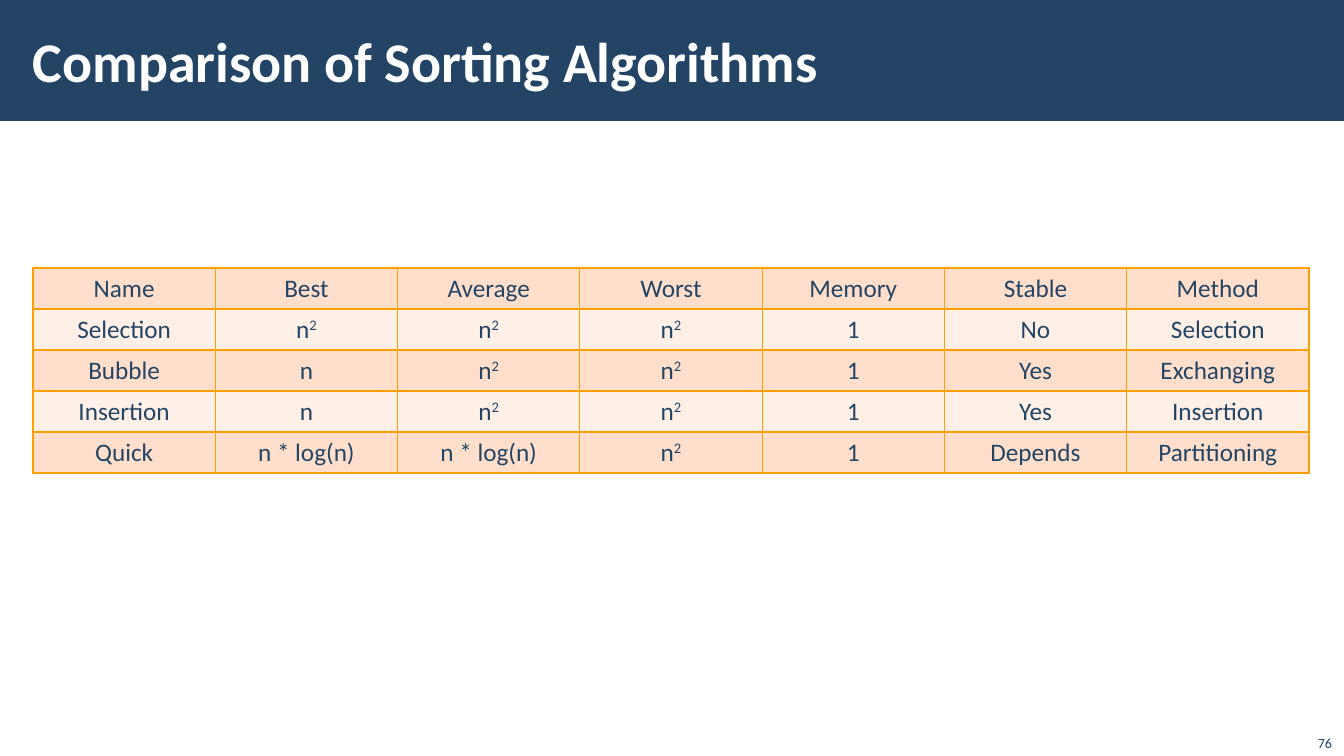
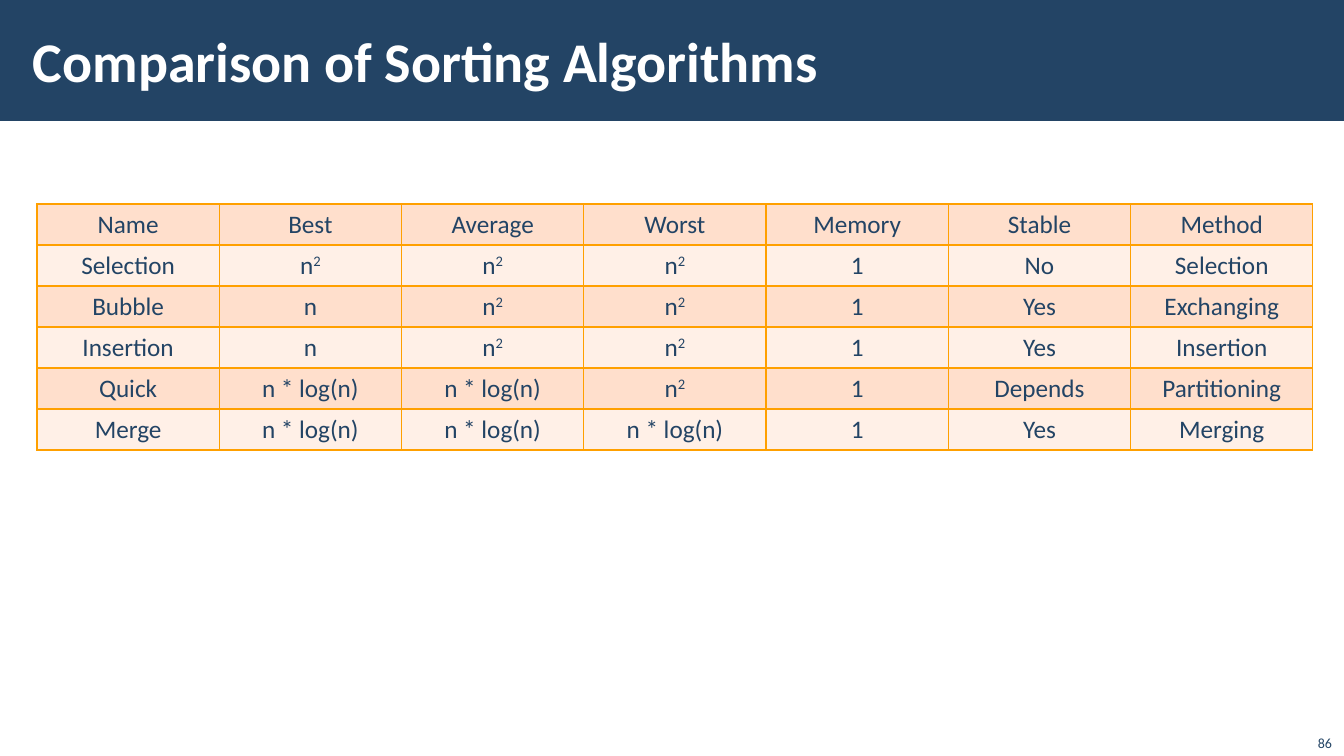
from lxml import etree
from pptx import Presentation
from pptx.dml.color import RGBColor
from pptx.enum.shapes import MSO_SHAPE
from pptx.enum.text import MSO_ANCHOR, PP_ALIGN
from pptx.oxml.ns import qn
from pptx.util import Inches, Pt

RECTANGLE = MSO_SHAPE.RECTANGLE
MIDDLE, BOTTOM = MSO_ANCHOR.MIDDLE, MSO_ANCHOR.BOTTOM
LEFT, CENTER, RIGHT = PP_ALIGN.LEFT, PP_ALIGN.CENTER, PP_ALIGN.RIGHT

PX_PER_INCH = 100.8
PAGE_WIDTH, PAGE_HEIGHT = 1344, 756
BAND_HEIGHT = 121
TABLE_WIDTH, ROW_HEIGHT = 1276, 41
BORDER_SIDES = ("a:lnL", "a:lnR", "a:lnT", "a:lnB")

TITLE = "Comparison of Sorting Algorithms"
HEADER = ["Name", "Best", "Average", "Worst", "Memory", "Stable", "Method"]
BASIC_SORTS = [
    ["Selection", "n^2", "n^2", "n^2", "1", "No", "Selection"],
    ["Bubble", "n", "n^2", "n^2", "1", "Yes", "Exchanging"],
    ["Insertion", "n", "n^2", "n^2", "1", "Yes", "Insertion"],
    ["Quick", "n * log(n)", "n * log(n)", "n^2", "1", "Depends", "Partitioning"],
]
MERGE_SORT = ["Merge", "n * log(n)", "n * log(n)", "n * log(n)", "1", "Yes", "Merging"]


def px(length):
    return Inches(length / PX_PER_INCH)


def color(value):
    return RGBColor.from_string(value)


class SortingDeck:
    NAVY = "234465"
    WHITE = "FFFFFF"
    BORDER = "FFA000"
    ROW_FILLS = ("FFDFCC", "FFF0E7")
    TITLE_FONT = {"name": "Calibri", "size": Pt(40), "bold": True}
    NUMBER_FONT = {"name": "Calibri", "size": Pt(10)}
    CELL_FONT = {"name": "Calibri", "size": Pt(18)}

    def __init__(self):
        self.deck = Presentation()
        self.deck.slide_width = px(PAGE_WIDTH)
        self.deck.slide_height = px(PAGE_HEIGHT)
        self.page = None

    def add_page(self, title, number):
        self.page = self.deck.slides.add_slide(self.deck.slide_layouts[6])
        self.band()
        self.text((21, 11, 1072, 98), title, self.TITLE_FONT, self.WHITE,
                  LEFT, MIDDLE, (12, 4))
        self.text((1292, 724, 50, 32), number, self.NUMBER_FONT, self.NAVY,
                  RIGHT, BOTTOM, (10, 5))

    def band(self):
        band = self.page.shapes.add_shape(RECTANGLE, 0, 0, px(PAGE_WIDTH), px(BAND_HEIGHT))
        band.shadow.inherit = False
        band.fill.solid()
        band.fill.fore_color.rgb = color(self.NAVY)
        band.line.fill.background()

    def text(self, place, words, font, hue, alignment, anchor, insets):
        box = self.page.shapes.add_textbox(*map(px, place))
        across, down = map(px, insets)
        frame_format = {
            "word_wrap": True, "vertical_anchor": anchor,
            "margin_left": across, "margin_right": across,
            "margin_top": down, "margin_bottom": down,
        }
        for name, value in frame_format.items():
            setattr(box.text_frame, name, value)
        self.fill_paragraph(box.text_frame.paragraphs[0], words, font, hue, alignment)

    def fill_paragraph(self, para, words, font, hue, alignment):
        para.alignment = alignment
        for index, part in enumerate(words.split("^")):
            span = para.add_run()
            span.text = part
            for name, value in font.items():
                setattr(span.font, name, value)
            span.font.color.rgb = color(hue)
            if index:
                span._r.get_or_add_rPr().set("baseline", "30000")

    def table(self, left, top, rows):
        column_count = len(rows[0])
        table = self.page.shapes.add_table(
            len(rows), column_count, px(left), px(top),
            px(TABLE_WIDTH), px(ROW_HEIGHT * len(rows))).table
        table.first_row = False
        table.horz_banding = False
        for column in table.columns:
            column.width = px(TABLE_WIDTH / column_count)
        for row_index, row in enumerate(rows):
            table.rows[row_index].height = px(ROW_HEIGHT)
            fill = self.ROW_FILLS[row_index % 2]
            for column_index, words in enumerate(row):
                self.cell(table.cell(row_index, column_index), words, fill)

    def cell(self, cell, words, fill):
        self.fill_paragraph(cell.text_frame.paragraphs[0], words,
                            self.CELL_FONT, self.NAVY, CENTER)
        properties = cell._tc.get_or_add_tcPr()
        for side in BORDER_SIDES:
            line = etree.SubElement(properties, qn(side), w=str(Pt(1)))
            solid = etree.SubElement(line, qn("a:solidFill"))
            etree.SubElement(solid, qn("a:srgbClr"), val=self.BORDER)
        cell.fill.solid()
        cell.fill.fore_color.rgb = color(fill)


def main():
    sorting = SortingDeck()
    sorting.add_page(TITLE, "76")
    sorting.table(33, 268, [HEADER, *BASIC_SORTS])
    sorting.add_page(TITLE, "86")
    sorting.table(37, 204, [HEADER, *BASIC_SORTS, MERGE_SORT])
    sorting.deck.save("out.pptx")


if __name__ == "__main__":
    main()
